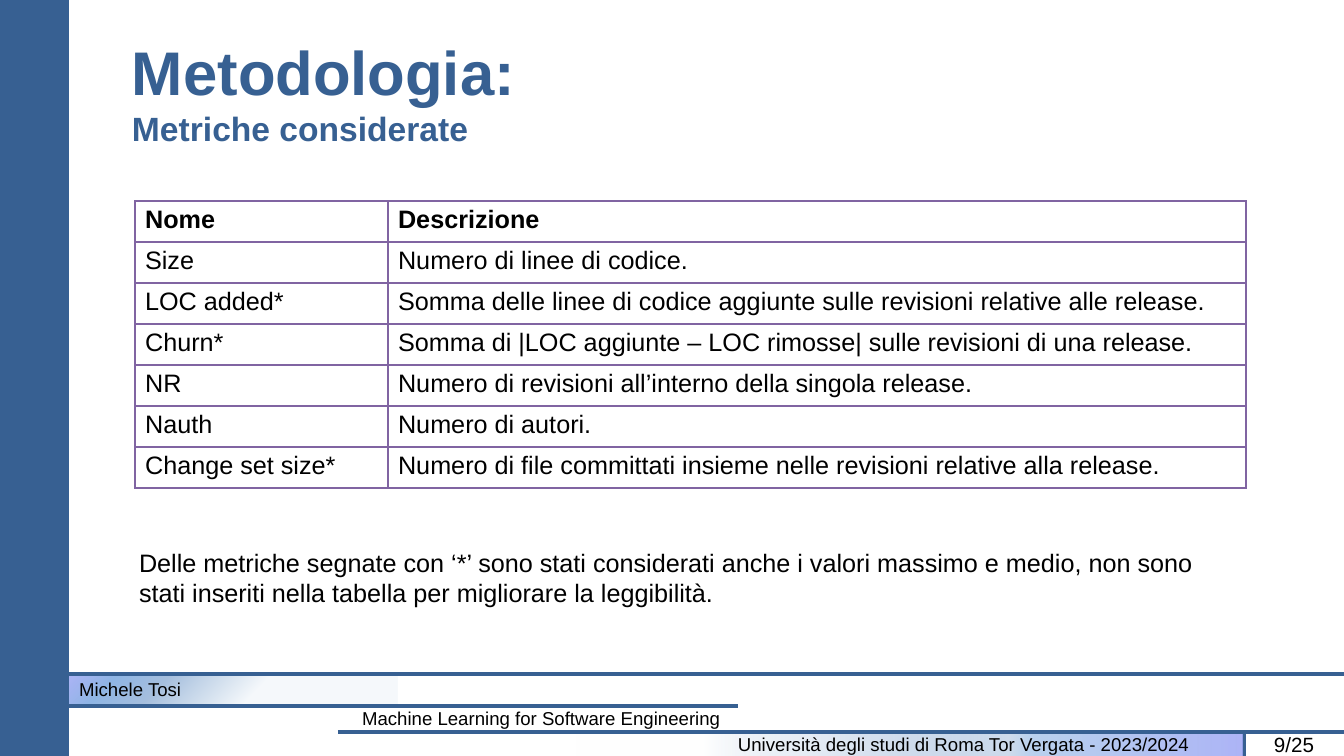
from lxml.etree import SubElement as Sub
from pptx import Presentation
from pptx.dml.color import RGBColor
from pptx.enum.shapes import MSO_CONNECTOR as Conn, MSO_SHAPE as Shape
from pptx.enum.text import MSO_ANCHOR as Anchor, PP_ALIGN as Align
from pptx.oxml.ns import qn
from pptx.util import Emu, Pt

BLUE, BLACK, PURPLE = "376092", "000000", "8064A2"
METRICS = [
    ("Nome", "Descrizione"),
    ("Size", "Numero di linee di codice."),
    ("LOC added*", "Somma delle linee di codice aggiunte sulle revisioni relative alle release."),
    ("Churn*", "Somma di |LOC aggiunte – LOC rimosse| sulle revisioni di una release."),
    ("NR", "Numero di revisioni all’interno della singola release."),
    ("Nauth", "Numero di autori."),
    ("Change set size*", "Numero di file committati insieme nelle revisioni relative alla release."),
]
AUTHOR_STOPS = [(43, "F6F9FC", 100), (54, "D7E3F0", 100), (62, "C1D3E8", 100),
                (71, "A6BFDE", 100), (86, "8FB6E5", 100), (100, "A0A8F6", 85)]
COURSE_STOPS = [(19, "FFFFFF", 100), (33, "D7E3F0", 57), (45, "D6E1F0", 100),
                (65, "A6BFDE", 54), (68, "8FB6E5", 61), (100, "A0A8F6", 85)]


def px(n):
    """Turn pixels into EMU."""
    return Emu(round(n * 914400 / 100.8))


def rgb(color):
    """Turn a hex string into a colour."""
    return RGBColor.from_string(color)


def write(p, text, size=18, color=BLACK, bold=False, align=Align.LEFT):
    """Add a formatted run to a paragraph."""
    p.alignment = align
    r = p.add_run()
    r.text = text
    r.font.name, r.font.size, r.font.bold = "Arial", Pt(size), bold
    r.font.color.rgb = rgb(color)


class Deck:
    """Hold the style and the current slide."""

    def __init__(self):
        """Start a deck with one blank slide."""
        self.prs = Presentation()
        self.prs.slide_width, self.prs.slide_height = px(1344), px(756)
        self.s = self.prs.slides.add_slide(self.prs.slide_layouts[6])

    def frame(self, sp, inset=(10, 5, 10, 5)):
        """Set up a wrapped, vertically centred frame and return its paragraph."""
        tf = sp.text_frame
        tf.word_wrap, tf.vertical_anchor = True, Anchor.MIDDLE
        tf.margin_left, tf.margin_top, tf.margin_right, tf.margin_bottom = map(px, inset)
        return tf.paragraphs[0]

    def text(self, x, y, w, h, text="", inset=(10, 5, 10, 5), **fmt):
        """Add a text box and return its paragraph."""
        p = self.frame(self.s.shapes.add_textbox(px(x), px(y), px(w), px(h)), inset)
        if text:
            write(p, text, **fmt)
        return p

    def rect(self, x, y, w, h, fill=None):
        """Add a rectangle without outline."""
        sp = self.s.shapes.add_shape(Shape.RECTANGLE, px(x), px(y), px(w), px(h))
        sp.shadow.inherit = False
        sp.line.fill.background()
        if fill:
            sp.fill.solid()
            sp.fill.fore_color.rgb = rgb(fill)
        else:
            sp.fill.background()
        return sp

    def band(self, x, y, w, h, stops, text, circle=False, inset=(10, 5, 10, 5), **fmt):
        """Add a labelled rectangle with a gradient fill."""
        sp = self.rect(x, y, w, h)
        none = sp.fill._xPr.find(qn("a:noFill"))
        none.tag
        grad = Sub(sp.fill._xPr, qn("a:gradFill"), rotWithShape="1")
        sp.fill._xPr.replace(none, grad)
        gs_list = Sub(grad, qn("a:gsLst"))
        for pos, color, alpha in stops:
            gs = Sub(gs_list, qn("a:gs"), pos=str(pos * 1000))
            clr = Sub(gs, qn("a:srgbClr"), val=color)
            if alpha < 100:
                Sub(clr, qn("a:alpha"), val=str(alpha * 1000))
        if circle:
            way = Sub(grad, qn("a:path"), path="circle")
            Sub(way, qn("a:fillToRect"), l="100000", t="100000")
        else:
            Sub(grad, qn("a:lin"), ang="0", scaled="0")
        write(self.frame(sp, inset), text, **fmt)

    def line(self, x1, y1, x2, y2, color=BLUE, width=2.5):
        """Add a straight line."""
        c = self.s.shapes.add_connector(Conn.STRAIGHT, px(x1), px(y1), px(x2), px(y2))
        c.line.color.rgb, c.line.width = rgb(color), Pt(width)
        Sub(c._element.spPr, qn("a:effectLst"))

    def table(self, x, y, cols, row_h, rows, border=PURPLE):
        """Add a bordered table with a bold first row."""
        t = self.s.shapes.add_table(len(rows), len(cols), px(x), px(y),
                                    px(sum(cols)), px(row_h * len(rows))).table
        t.first_row = t.horz_banding = False
        for col, w in zip(t.columns, cols):
            col.width = px(w)
        for i, row in enumerate(rows):
            t.rows[i].height = px(row_h)
            for j, text in enumerate(row):
                cell = t.cell(i, j)
                tc_pr = cell._tc.get_or_add_tcPr()
                for side in "LRTB":
                    ln = Sub(tc_pr, qn(f"a:ln{side}"), w=str(Pt(1)))
                    Sub(Sub(ln, qn("a:solidFill")), qn("a:srgbClr"), val=border)
                cell.fill.background()
                write(cell.text_frame.paragraphs[0], text, bold=i == 0)


def main():
    """Build the slide and save it."""
    d = Deck()
    d.band(69, 674, 328, 31, AUTHOR_STOPS, "Michele Tosi", circle=True, size=13.3)
    d.text(352, 706, 640, 25, "Machine Learning for Software Engineering", size=13.3)
    d.line(58, 706, 738, 706)
    d.line(1244, 732, 1244, 756)
    d.band(577, 732, 666, 25, COURSE_STOPS,
           "Università degli studi di Roma Tor Vergata - 2023/2024",
           inset=(161, 7, 13, 7), size=13.3)
    d.line(5, 674, 1344, 674)
    d.line(338, 732, 1344, 732)
    d.rect(0, 0, 69, 756, BLUE)
    d.text(1244, 732, 100, 25, "9/25", inset=(13, 7, 13, 7), size=14.7, align=Align.CENTER)
    d.table(135, 201, (253, 858), 41, METRICS)
    d.text(129, 538, 1111, 79,
           "Delle metriche segnate con ‘*’ sono stati considerati anche i valori massimo e medio, "
           "non sono stati inseriti nella tabella per migliorare la leggibilità.")
    p = d.text(122, 28, 1111, 126)
    p.space_before = Pt(8)
    write(p, "Metodologia:", size=44, color=BLUE, bold=True)
    p.add_line_break()
    write(p, "Metriche considerate", size=24, color=BLUE, bold=True)
    d.prs.save("out.pptx")


if __name__ == "__main__":
    main()
